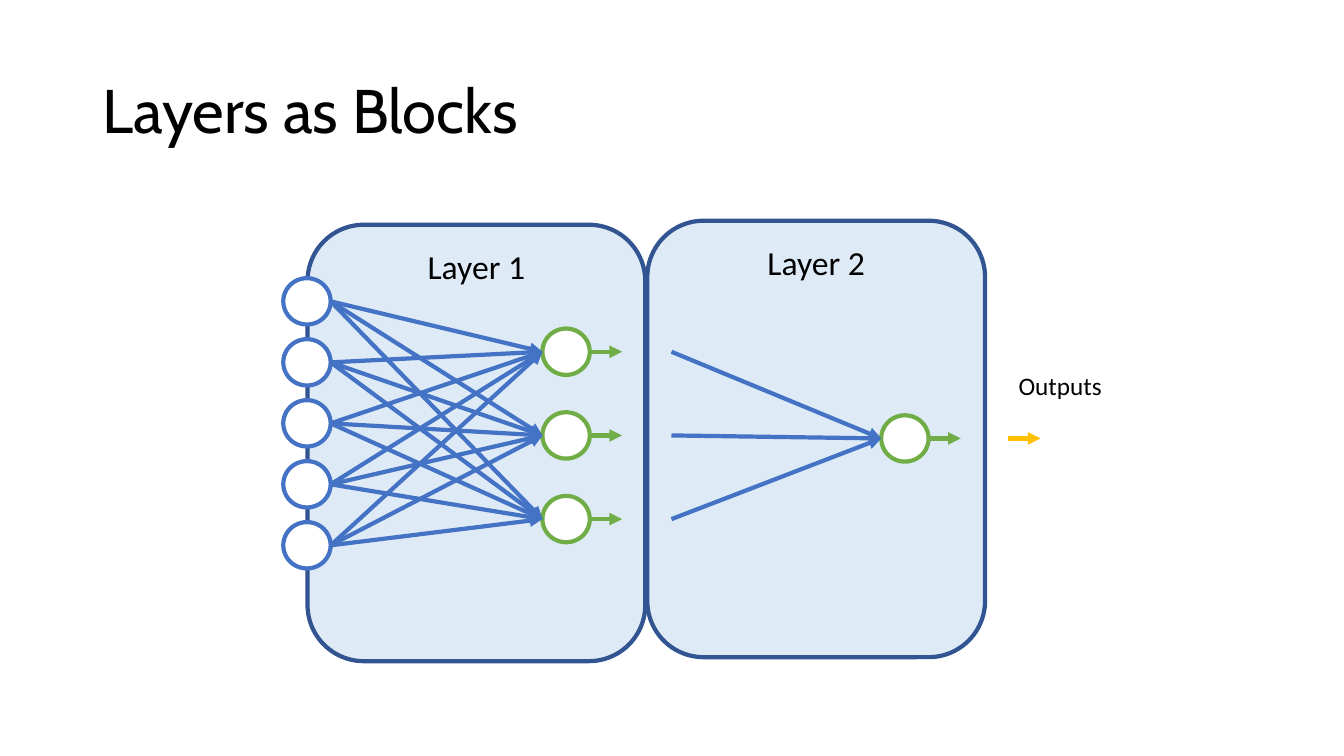
from pptx import Presentation
from pptx.dml.color import RGBColor
from pptx.enum.shapes import MSO_CONNECTOR, MSO_SHAPE
from pptx.enum.text import MSO_ANCHOR, MSO_AUTO_SIZE, PP_ALIGN
from pptx.oxml.ns import qn
from pptx.util import Inches, Pt
from lxml.etree import SubElement

TITLE = "Layers as Blocks"
OUTPUTS = "Outputs"
COLORS = {
    "text": "000000", "node": "FFFFFF", "block": "DEEBF7", "border": "325491",
    "blue": "4472C4", "green": "70AD47", "gold": "FFC000",
}

# Block: name, left, top
BLOCKS = {"first": ("Layer 1", 3.05, 2.23), "second": ("Layer 2", 6.42, 2.19)}
BLOCK_W, BLOCK_H = 3.35, 4.33
NODE_W, NODE_H = 0.47, 0.46
ARROW = 0.32
LINE_WIDTH = 3

# Node columns: left edge and the heights of the node centres
INPUT_X, INPUT_YS = 2.81, [2.99 + 0.605 * i for i in range(5)]
HIDDEN_X, HIDDEN_YS = 5.38, [3.49 + 0.83 * i for i in range(3)]
FINAL_X, FINAL_Y = 8.74, 4.35
SECOND_START_X = 6.66
OUTPUT_X = 10

prs = Presentation()
prs.slide_width, prs.slide_height = Inches(13.33), Inches(7.5)
slide = prs.slides.add_slide(prs.slide_layouts[5])


def rgb(name):
    return RGBColor.from_string(COLORS[name])


def write(tf, text, size, font="Calibri", align=PP_ALIGN.CENTER,
          anchor=MSO_ANCHOR.TOP, spacing=None, wrap=True):
    tf.auto_size = MSO_AUTO_SIZE.NONE
    tf.word_wrap = wrap
    tf.vertical_anchor = anchor
    p = tf.paragraphs[0]
    p.alignment = align
    p.line_spacing = spacing
    r = p.add_run()
    r.text = text
    r.font.name, r.font.size = font, Pt(size)
    r.font.color.rgb = rgb("text")


def add_outlined(kind, x, y, w, h, fill, line):
    s = slide.shapes.add_shape(kind, Inches(x), Inches(y), Inches(w), Inches(h))
    s.shadow.inherit = False
    s.fill.solid()
    s.fill.fore_color.rgb = rgb(fill)
    s.line.color.rgb = rgb(line)
    s.line.width = Pt(LINE_WIDTH)
    return s


def add_block(name, x, y):
    s = add_outlined(MSO_SHAPE.ROUNDED_RECTANGLE, x, y, BLOCK_W, BLOCK_H,
                     "block", "border")
    write(s.text_frame, name, 24)


def add_node(x, center_y, color):
    add_outlined(MSO_SHAPE.OVAL, x, center_y - NODE_H / 2, NODE_W, NODE_H,
                 "node", color)


def add_arrow(x1, y1, x2, y2, color):
    c = slide.shapes.add_connector(MSO_CONNECTOR.STRAIGHT, Inches(x1), Inches(y1),
                                   Inches(x2), Inches(y2))
    c.line.color.rgb = rgb(color)
    c.line.width = Pt(LINE_WIDTH)
    SubElement(c.line._get_or_add_ln(), qn("a:tailEnd"), type="triangle")
    SubElement(c._element.spPr, qn("a:effectLst"))


def add_neuron(x, y, source_x, source_ys):
    """Green node with its incoming connections and its output arrow."""
    add_node(x, y, "green")
    for source_y in source_ys:
        add_arrow(source_x, source_y, x, y, "blue")
    right = x + NODE_W
    add_arrow(right, y, right + ARROW, y, "green")


title = slide.shapes.title
title.left, title.top = Inches(0.92), Inches(0.4)
title.width, title.height = Inches(11.5), Inches(1.45)
write(title.text_frame, TITLE, 44, font="Cabin", align=PP_ALIGN.LEFT,
      anchor=MSO_ANCHOR.MIDDLE, spacing=0.9)

add_block(*BLOCKS["second"])
add_neuron(FINAL_X, FINAL_Y, SECOND_START_X, HIDDEN_YS)
add_arrow(OUTPUT_X, FINAL_Y, OUTPUT_X + ARROW, FINAL_Y, "gold")
label = slide.shapes.add_textbox(Inches(OUTPUT_X), Inches(3.62), Inches(1.03), Inches(0.4))
write(label.text_frame, OUTPUTS, 18, wrap=False)

add_block(*BLOCKS["first"])
for input_y in INPUT_YS:
    add_node(INPUT_X, input_y, "blue")
for hidden_y in HIDDEN_YS:
    add_neuron(HIDDEN_X, hidden_y, INPUT_X + NODE_W, INPUT_YS)

prs.save("out.pptx")
